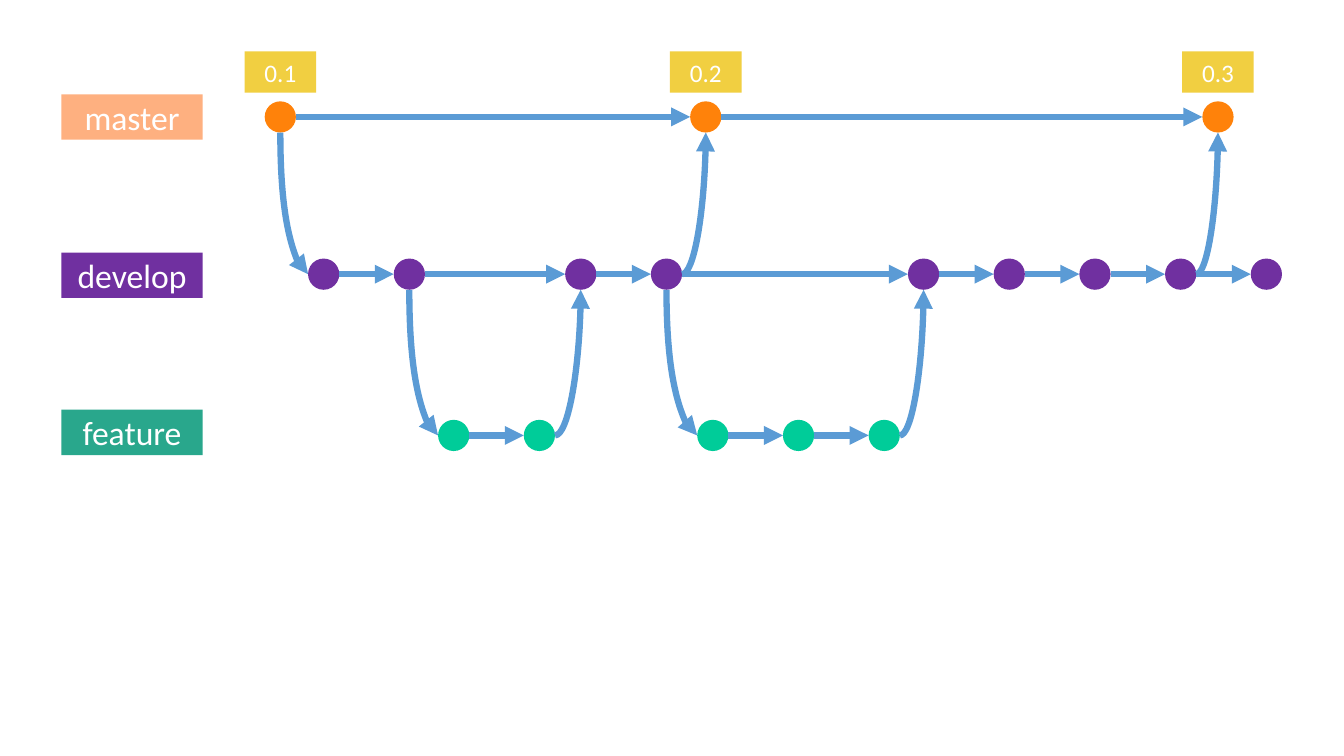
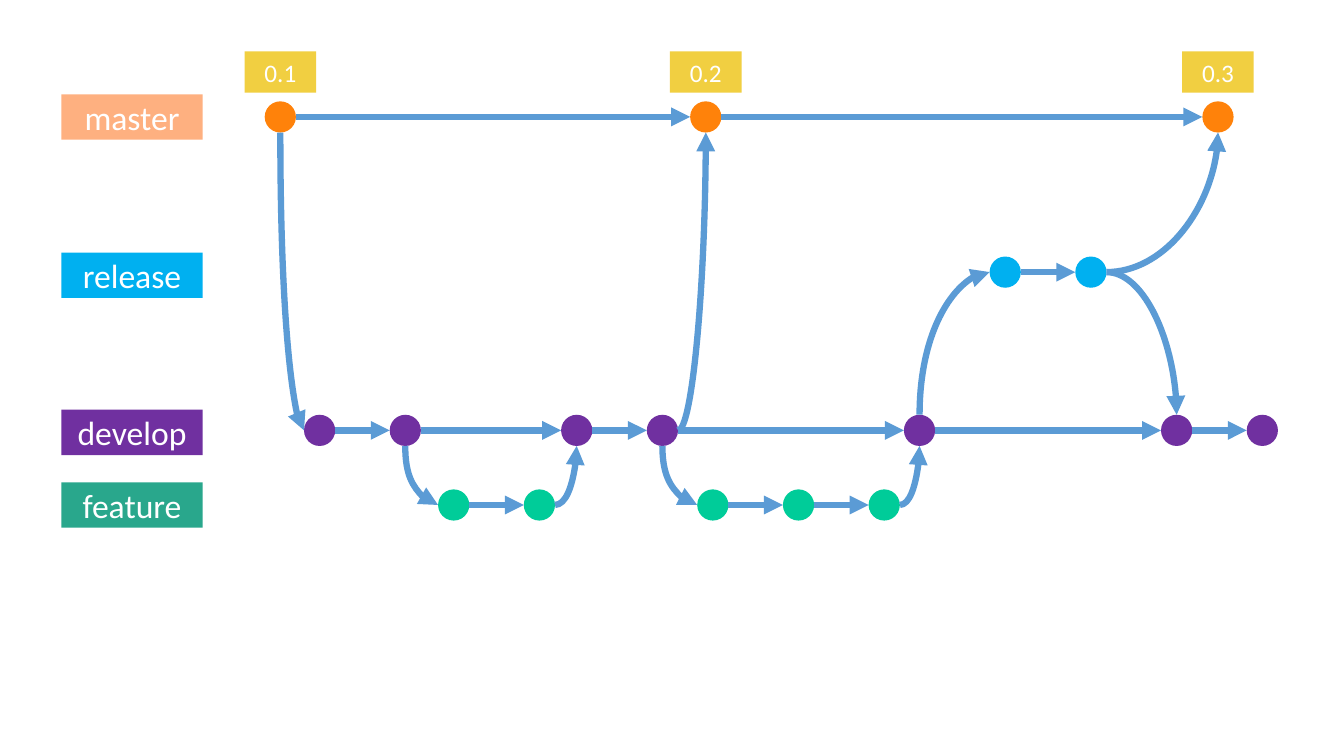
from collections import namedtuple
from dataclasses import dataclass

from lxml.etree import SubElement
from pptx import Presentation
from pptx.dml.color import RGBColor
from pptx.enum.shapes import MSO_CONNECTOR, MSO_SHAPE
from pptx.enum.text import MSO_ANCHOR, PP_ALIGN
from pptx.oxml.ns import qn
from pptx.util import Inches, Pt


@dataclass(frozen=True)
class Theme:
    font: str = "Calibri"
    label_size: int = 24
    tag_size: int = 18
    line_width: float = 4.5
    text: str = "FFFFFF"
    line: str = "5B9BD5"
    tag: str = "F1CF41"
    master_label: str = "FEB080"
    master: str = "FF820A"
    release: str = "00B0F0"
    develop: str = "7030A0"
    feature_label: str = "29A78C"
    feature: str = "00CC99"


THEME = Theme()
Box = namedtuple("Box", "left top")
Lane = namedtuple("Lane", "name label_y y label_color color runs")
Link = namedtuple("Link", "kind source source_index target target_index")

GRAPH = Box(0.61, 0.51)
STEP = 0.85
DIAMETER = 0.31
LABEL_W, LABEL_H = 1.4, 0.45
TAG_W, TAG_H = 0.71, 0.41
TOP, LEFT, BOTTOM, RIGHT = 0, 2, 4, 6


def slots(start, *indexes):
    return [start + STEP * i for i in indexes]


def master_lane():
    return Lane("master", 0.65, 0.65, THEME.master_label, THEME.master,
                [[2.17, 6.39, 11.47]])


def release_lane():
    return Lane("release", 2.22, 2.19, THEME.release, THEME.release,
                [slots(9.36, 0, 1)])


def develop_lane(label_y, y, commits):
    return Lane("develop", label_y, y, THEME.develop, THEME.develop, [commits])


def feature_lane(label_y, y):
    return Lane("feature", label_y, y, THEME.feature_label, THEME.feature,
                [slots(3.89, 0, 1), slots(6.46, 0, 1, 2)])


COMMON_LINKS = [
    Link("fork", "master", 0, "develop", 0),
    Link("fork", "develop", 1, "feature", 0),
    Link("merge", "feature", 1, "develop", 2),
    Link("merge", "develop", 3, "master", 1),
    Link("fork", "develop", 3, "feature", 2),
    Link("merge", "feature", 4, "develop", 4),
]


def add_block(slide, kind, cx, cy, w, h, color):
    sp = slide.shapes.add_shape(kind, Inches(cx - w / 2), Inches(cy - h / 2),
                                Inches(w), Inches(h))
    sp.shadow.inherit = False
    sp.fill.solid()
    sp.fill.fore_color.rgb = RGBColor.from_string(color)
    sp.line.fill.background()
    return sp


def add_caption(slide, text, cx, cy, w, h, color, size):
    sp = add_block(slide, MSO_SHAPE.RECTANGLE, cx, cy, w, h, color)
    tf = sp.text_frame
    tf.text = text
    tf.vertical_anchor = MSO_ANCHOR.MIDDLE
    p = tf.paragraphs[0]
    p.alignment = PP_ALIGN.CENTER
    font = p.runs[0].font
    font.name = THEME.font
    font.size = Pt(size)
    font.color.rgb = RGBColor.from_string(THEME.text)


def site_point(sp, site):
    x = {LEFT: sp.left, RIGHT: sp.left + sp.width}.get(site, sp.left + sp.width // 2)
    y = {TOP: sp.top, BOTTOM: sp.top + sp.height}.get(site, sp.top + sp.height // 2)
    return x, y


def add_arrow(slide, kind, begin, end, source, source_site, target, target_site):
    c = slide.shapes.add_connector(kind, *begin, *end)
    c.line.color.rgb = RGBColor.from_string(THEME.line)
    c.line.width = Pt(THEME.line_width)
    spPr = c._element.spPr
    SubElement(spPr.find(qn("a:ln")), qn("a:tailEnd"), type="triangle")
    SubElement(spPr, qn("a:effectLst"))
    glue = c._element.find(".//" + qn("p:cNvCxnSpPr"))
    for tag, sp, site in (("a:stCxn", source, source_site),
                          ("a:endCxn", target, target_site)):
        SubElement(glue, qn(tag), id=str(sp.shape_id), idx=str(site))
    return c


def add_straight(slide, source, target):
    add_arrow(slide, MSO_CONNECTOR.STRAIGHT, site_point(source, RIGHT),
              site_point(target, LEFT), source, RIGHT, target, LEFT)


def add_curve(slide, kind, source, target):
    down = target.top > source.top
    if kind == "fork":
        source_site, target_site = (BOTTOM if down else TOP), LEFT
    else:
        source_site, target_site = RIGHT, (TOP if down else BOTTOM)
    begin, end = site_point(source, source_site), site_point(target, target_site)
    if kind == "fork":
        cx, cy = (begin[0] + end[0]) // 2, (begin[1] + end[1]) // 2
        half_w = abs(end[1] - begin[1]) // 2
        half_h = (end[0] - begin[0]) // 2 * (1 if down else -1)
        begin, end = (cx + half_w, cy - half_h), (cx - half_w, cy + half_h)
    c = add_arrow(slide, MSO_CONNECTOR.CURVE, begin, end,
                  source, source_site, target, target_site)
    spPr = c._element.spPr
    spPr.find(qn("a:prstGeom")).set("prst", "curvedConnector2")
    if kind == "fork":
        spPr.find(qn("a:xfrm")).set("rot", "16200000" if down else "5400000")


def draw_lane(slide, box, lane):
    add_caption(slide, lane.name, box.left + LABEL_W / 2, box.top + lane.label_y,
                LABEL_W, LABEL_H, lane.label_color, THEME.label_size)
    commits = []
    for run in lane.runs:
        dots = [add_block(slide, MSO_SHAPE.OVAL, box.left + x, box.top + lane.y,
                          DIAMETER, DIAMETER, lane.color) for x in run]
        for source, target in zip(dots, dots[1:]):
            add_straight(slide, source, target)
        commits += dots
    return commits


def draw_tags(slide, box, lane):
    for x, version in zip(lane.runs[0], ("0.1", "0.2", "0.3")):
        add_caption(slide, version, box.left + x, box.top + TAG_H / 2,
                    TAG_W, TAG_H, THEME.tag, THEME.tag_size)


def draw_graph(prs, box, lanes, links):
    slide = prs.slides.add_slide(prs.slide_layouts[6])
    commits = {lane.name: draw_lane(slide, box, lane) for lane in lanes}
    draw_tags(slide, box, lanes[0])
    for link in links:
        add_curve(slide, link.kind, commits[link.source][link.source_index],
                  commits[link.target][link.target_index])


def main():
    prs = Presentation()
    prs.slide_width, prs.slide_height = Inches(13.33), Inches(7.5)
    draw_graph(
        prs, GRAPH,
        [master_lane(),
         develop_lane(2.22, 2.21, slots(2.6, 0, 1, 3, 4, 7, 8, 9, 10, 11)),
         feature_lane(3.78, 3.81)],
        COMMON_LINKS + [Link("merge", "develop", 7, "master", 2)])
    draw_graph(
        prs, GRAPH,
        [master_lane(),
         release_lane(),
         develop_lane(3.78, 3.76, slots(2.56, 0, 1, 3, 4, 7, 10, 11)),
         feature_lane(4.5, 4.5)],
        COMMON_LINKS + [Link("fork", "develop", 4, "release", 0),
                        Link("merge", "release", 1, "master", 2),
                        Link("merge", "release", 1, "develop", 5)])
    prs.save("out.pptx")


if __name__ == "__main__":
    main()
